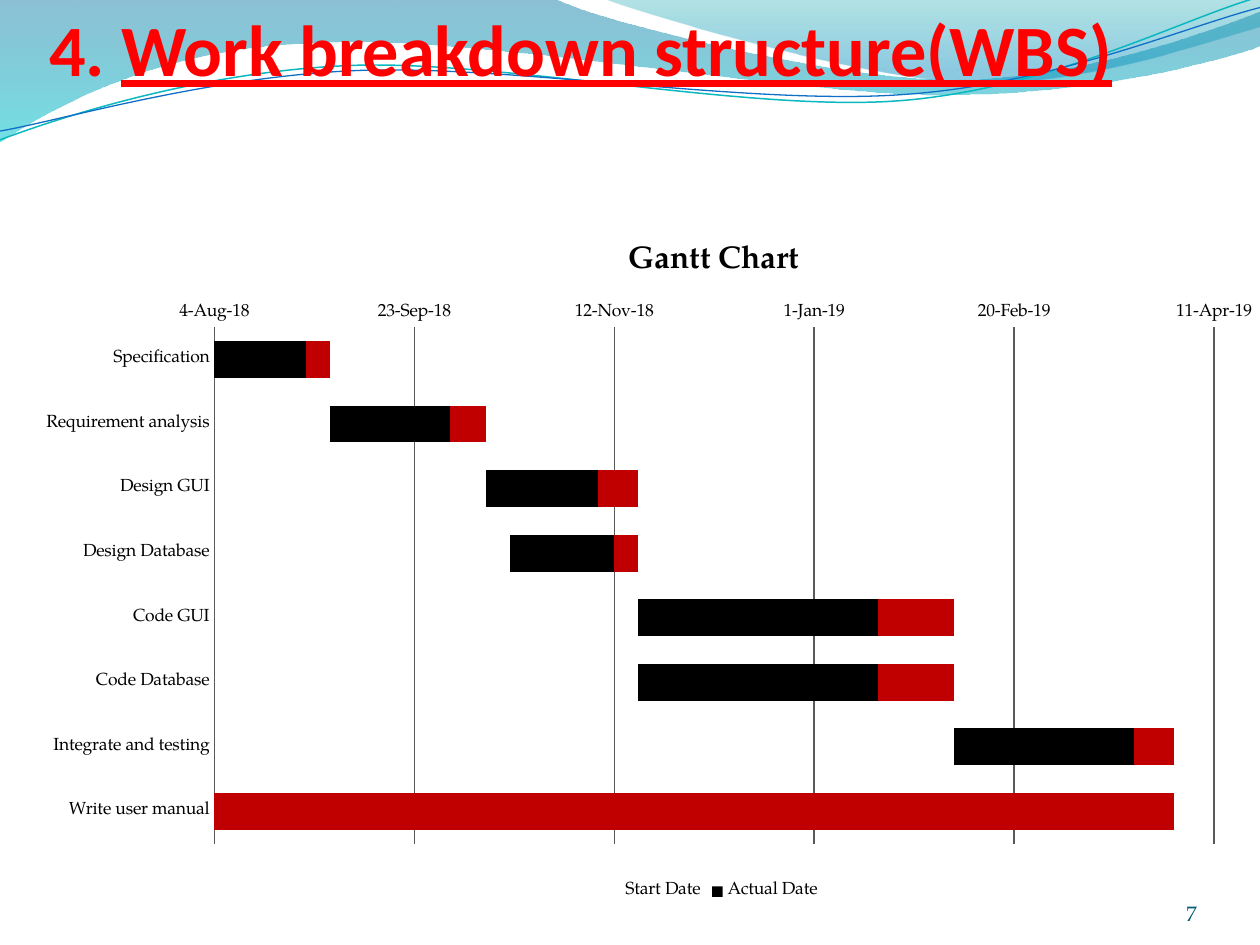
from math import cos, radians, sin
from pptx import Presentation
from pptx.chart.data import CategoryChartData
from pptx.dml.color import RGBColor
from pptx.enum.chart import XL_CHART_TYPE, XL_LEGEND_POSITION, XL_TICK_MARK
from pptx.enum.text import MSO_ANCHOR, PP_ALIGN
from pptx.oxml import parse_xml
from pptx.oxml.ns import nsdecls, qn
from pptx.util import Cm, Pt
from lxml.etree import SubElement


def hue(code):
    return RGBColor.from_string(code)


def write(text, para, font="TeX Gyre Pagella", size=10, color="000000", bold=False, line=False):
    run = para.add_run()
    run.text = text
    run.font.name = font
    run.font.size = Pt(size)
    run.font.color.rgb = hue(color)
    run.font.bold = bold
    run.font.underline = line


deck = Presentation()
deck.slide_width, deck.slide_height = Cm(25.4), Cm(19.05)
slide = deck.slides.add_slide(deck.slide_layouts[6])

waves = [
    ([(0, 0), (4.4, -0.01), (4.76, 0.17, 6.64, 0.63, 7.58, 0.63),
      (8.53, 0.63, 9.58, 0.26, 10, 0.09), (10.01, 0.36),
      (9.83, 0.44, 8.7, 0.76, 7.46, 0.75), (6.22, 0.75, 3.82, 0.28, 2.57, 0.34),
      (1.29, 0.36, 0.46, 0.83, -0.01, 1.13), (0, 0)],
     [(0, "0074A1", 45), (1, "00C6CF", 55)], None, 0),
    ([(4.79, -0.01), (5.09, 0.11, 6.82, 0.62, 7.69, 0.65),
      (8.56, 0.69, 9.61, 0.32, 10, 0.21), (10, 0), (4.79, -0.01)],
     [(0, "00A1A9", 30), (0.8, "008BBF", 45)], None, 0),
    ([(0, 1.11), (0.48, 0.93, 1.58, 0.57, 2.77, 0.52),
      (3.95, 0.47, 5.93, 0.89, 7.13, 0.8), (8.33, 0.71, 9.38, 0.15, 9.98, -0.02)],
     None, ("0AB8BF", 0.85), 2.7),
    ([(0, 1.04), (0.47, 0.96, 1.64, 0.61, 2.83, 0.56),
      (4.03, 0.51, 5.97, 0.84, 7.17, 0.75), (8.36, 0.67, 9.41, 0.21, 10, 0.06)],
     None, ("0F6FC6", 0.75), 2.7),
]
midx, midy = 4.99, 0.58
for path, stops, edge, tilt in waves:
    c, s = cos(radians(tilt)), sin(radians(tilt))
    dots = []
    for part in path:
        for x, y in zip(part[::2], part[1::2]):
            dx, dy = x - midx, y - midy
            x, y = midx + dx * c - dy * s, midy + dx * s + dy * c
            dots.append((Cm(x * 2.54), Cm(y * 2.54)))
    pen = slide.shapes.build_freeform(*dots[0])
    pen.add_line_segments(dots[1:], close=bool(stops))
    wave = pen.convert_to_shape()
    wave.shadow.inherit = False
    wave.rotation = -tilt
    lines = iter(list(wave._element.iter(qn("a:lnTo"))))
    for part in path[1:]:
        first = next(lines)
        if len(part) == 6:
            curve = parse_xml(f'<a:cubicBezTo {nsdecls("a")}/>')
            first.addprevious(curve)
            for line in (first, next(lines), next(lines)):
                curve.append(line[0])
                line.getparent().remove(line)
    if stops:
        wave.fill.gradient()
        wave.fill.gradient_angle = 270
        for stop, (place, code, alpha) in zip(wave.fill.gradient_stops, stops):
            stop.position = place
            stop.color.rgb = hue(code)
        tints = list(wave._element.iter(qn("a:srgbClr")))
        for tint, (place, code, alpha) in zip(tints, stops):
            SubElement(tint, qn("a:alpha")).set("val", str(alpha * 1000))
        wave.line.fill.background()
    else:
        wave.fill.background()
        wave.line.color.rgb = hue(edge[0])
        wave.line.width = Pt(edge[1])

data = CategoryChartData()
data.categories = ["Specification", "Requirement analysis", "Design GUI", "Design Database",
                   "Code GUI", "Code Database", "Integrate and testing", "Write user manual"]
data.add_series("Start Date", [43316, 43345, 43384, 43390, 43422, 43422, 43501, 43316])
data.add_series("Actual Date", [23, 30, 28, 26, 60, 60, 45, None])
data.add_series("Extension Date", [6, 9, 10, 6, 19, 19, 10, 240])
chart = slide.shapes.add_chart(XL_CHART_TYPE.BAR_STACKED, Cm(0.6), Cm(4.36),
                               Cm(27.58), Cm(13.89), data).chart
chart.font.name = "TeX Gyre Pagella"
chart.font.size = Pt(10)
chart.font.color.rgb = hue("000000")
chart.has_title = True
write("Gantt Chart", chart.chart_title.text_frame.paragraphs[0], size=18, bold=True)
chart.chart_title.include_in_layout = False

plot = chart.plots[0]
plot.gap_width, plot.overlap = 75, 100
plot.vary_by_categories = False
for row, code in zip(plot.series, [None, "000000", "C00000"]):
    row.invert_if_negative = False
    if code:
        row.format.fill.solid()
        row.format.fill.fore_color.rgb = hue(code)
    else:
        row.format.fill.background()

tasks, dates = chart.category_axis, chart.value_axis
tasks.reverse_order = True
tasks.major_tick_mark = dates.major_tick_mark = XL_TICK_MARK.NONE
tasks.format.line.color.rgb = hue("595959")
dates.minimum_scale, dates.maximum_scale = 43316, 43600
dates.major_unit = 50
dates.has_major_gridlines = True
dates.major_gridlines.format.line.color.rgb = hue("595959")
dates.format.line.fill.background()
dates.tick_labels.number_format = r"[$-409]d\-mmm\-yy;@"
dates.tick_labels.number_format_is_linked = False

chart.has_legend = True
chart.legend.position = XL_LEGEND_POSITION.BOTTOM
chart.legend.include_in_layout = False
chart.legend._element.find(qn("c:legendPos")).addnext(parse_xml(
    f'<c:legendEntry {nsdecls("c")}><c:idx val="0"/><c:delete val="1"/></c:legendEntry>'))

area = chart._chartSpace.chart.plotArea
for old in area.findall(qn("c:layout")):
    area.remove(old)
spots = [("layoutTarget", "inner"), ("xMode", "edge"), ("yMode", "edge"),
         ("x", 0.135), ("y", 0.161), ("w", 0.83), ("h", 0.75)]
inner = "".join(f'<c:{name} val="{val}"/>' for name, val in spots)
area.insert(0, parse_xml(
    f'<c:layout {nsdecls("c")}><c:manualLayout>{inner}</c:manualLayout></c:layout>'))

frames = []
for box, anchor in [((0.99, 0.41, 22.86, 3.18), MSO_ANCHOR.TOP),
                    ((22.02, 17.65, 2.11, 1.02), MSO_ANCHOR.BOTTOM)]:
    frame = slide.shapes.add_textbox(*map(Cm, box)).text_frame
    frame.word_wrap = True
    frame.vertical_anchor = anchor
    frame.margin_left = frame.margin_right = frame.margin_top = frame.margin_bottom = 0
    frames.append(frame)

head, num = [frame.paragraphs[0] for frame in frames]
frames[0].margin_top = Cm(0.02)
head.line_spacing = 0.8
look = dict(font="Calibri", size=41.3, color="FF0000", bold=True)
write("4. ", head, **look)
write("Work breakdown structure(WBS)", head, line=True, **look)
num.alignment = PP_ALIGN.RIGHT
write("7", num, size=12, color="045D75")

deck.save("out.pptx")
